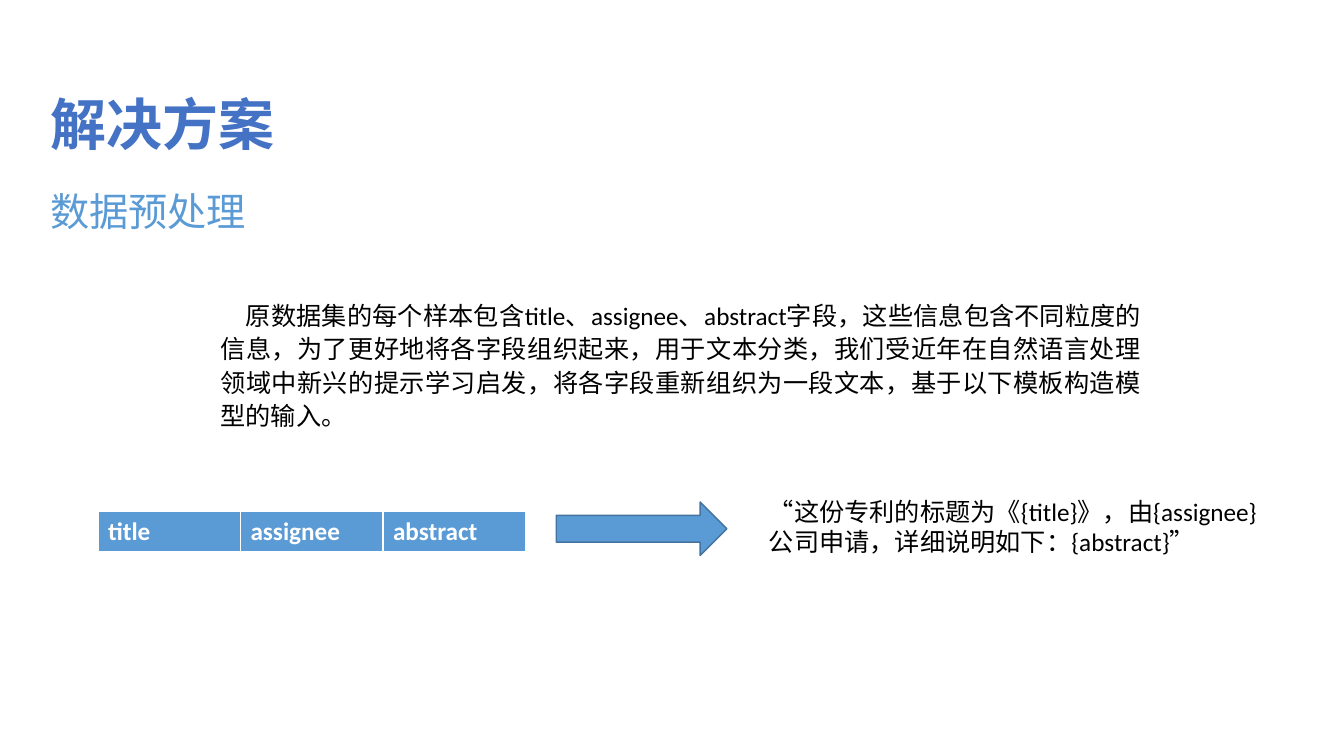
"""Build the data preprocessing slide: headings, explanation, field table, arrow and template."""
import pptx
import pptx.util
import pptx.dml.color
import pptx.enum.lang
import pptx.enum.shapes
import pptx.enum.text

Cm = pptx.util.Cm
Pt = pptx.util.Pt
RGBColor = pptx.dml.color.RGBColor

TITLE = "解决方案"
SUBTITLE = "数据预处理"
EXPLANATION = (
    "原数据集的每个样本包含title、assignee、abstract字段，这些信息包含不同粒度的信息，"
    "为了更好地将各字段组织起来，用于文本分类，我们受近年在自然语言处理领域中新兴的提示学习启发，"
    "将各字段重新组织为一段文本，基于以下模板构造模型的输入。"
)
FIELDS = ["title", "assignee", "abstract"]
TEMPLATE = "“这份专利的标题为《{title}》，由{assignee}公司申请，详细说明如下：{abstract}”"

FONT = "Calibri"
TITLE_BLUE = RGBColor(0x44, 0x72, 0xC4)
BLUE = RGBColor(0x5B, 0x9B, 0xD5)
DARK_BLUE = RGBColor(0x43, 0x73, 0x9E)
BLACK = RGBColor(0, 0, 0)
WHITE = RGBColor(0xFF, 0xFF, 0xFF)

LEFT_MARGIN = Cm(1.02)
COLUMN_WIDTH = Cm(3.59)
ROW_HEIGHT = Cm(1.03)


def write(frame, text, size=18, color=BLACK, bold=False):
    para = frame.paragraphs[0]
    span = para.add_run()
    span.text = text
    span.font.name = FONT
    span.font.size = Pt(size)
    span.font.bold = bold
    span.font.color.rgb = color
    span.font.language_id = pptx.enum.lang.MSO_LANGUAGE_ID.SIMPLIFIED_CHINESE
    return para


def add_text(page, text, left, top, width, height, wrap=True, **style):
    frame = page.shapes.add_textbox(left, top, width, height).text_frame
    frame.word_wrap = wrap
    frame.auto_size = pptx.enum.text.MSO_AUTO_SIZE.SHAPE_TO_FIT_TEXT
    return write(frame, text, **style)


def add_fields(page):
    table = page.shapes.add_table(
        1, len(FIELDS), Cm(2.47), Cm(12.88), COLUMN_WIDTH * len(FIELDS), ROW_HEIGHT
    ).table
    for column, cell, field in zip(table.columns, table.rows[0].cells, FIELDS):
        column.width = COLUMN_WIDTH
        cell.fill.solid()
        cell.fill.fore_color.rgb = BLUE
        write(cell.text_frame, field, color=WHITE, bold=True)


def add_arrow(page):
    arrow = page.shapes.add_shape(
        pptx.enum.shapes.MSO_SHAPE.RIGHT_ARROW, Cm(14.02), Cm(12.65), Cm(4.3), Cm(1.35)
    )
    arrow.shadow.inherit = False
    arrow.fill.solid()
    arrow.fill.fore_color.rgb = BLUE
    arrow.line.color.rgb = DARK_BLUE
    arrow.line.width = Pt(1)


def main():
    deck = pptx.Presentation()
    deck.slide_width = Cm(33.87)
    deck.slide_height = Cm(19.05)
    page = deck.slides.add_slide(deck.slide_layouts[6])

    add_text(page, TITLE, LEFT_MARGIN, Cm(2.13), Cm(12.78), Cm(1.96),
             size=40, color=TITLE_BLUE, bold=True)
    add_text(page, SUBTITLE, LEFT_MARGIN, Cm(4.6), Cm(5.51), Cm(1.45),
             wrap=False, size=28, color=BLUE)

    explanation = add_text(page, EXPLANATION, Cm(5.31), Cm(7.37), Cm(23.7), Cm(4.62))
    explanation.alignment = pptx.enum.text.PP_ALIGN.JUSTIFY
    explanation.line_spacing = 1.1
    explanation.space_before = Pt(1)
    explanation.space_after = Pt(6)
    explanation._p.get_or_add_pPr().set("indent", str(Cm(0.64)))

    add_fields(page)
    add_arrow(page)
    add_text(page, TEMPLATE, Cm(19.13), Cm(12.37), Cm(13.26), Cm(2.57))
    deck.save("out.pptx")


if __name__ == "__main__":
    main()
